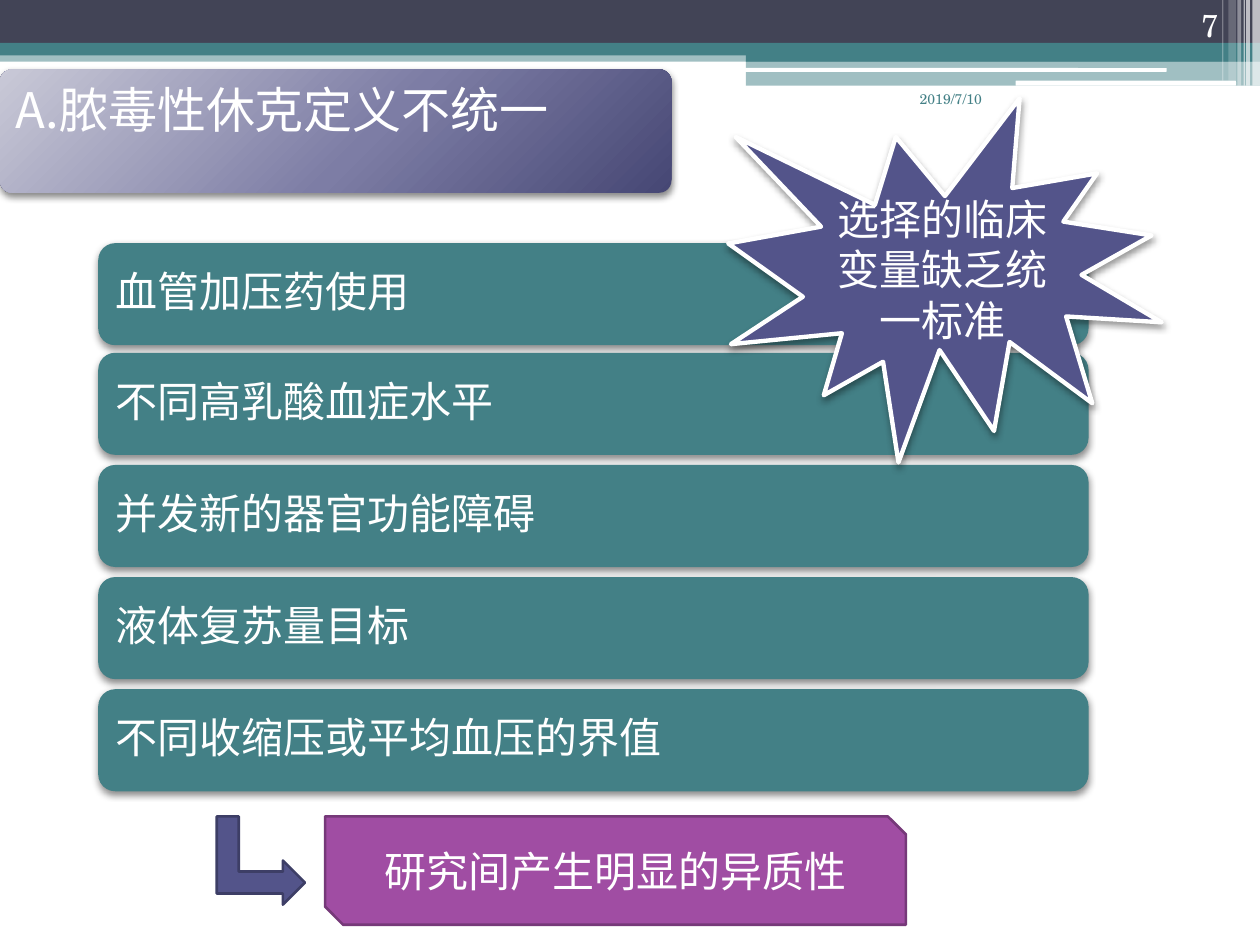
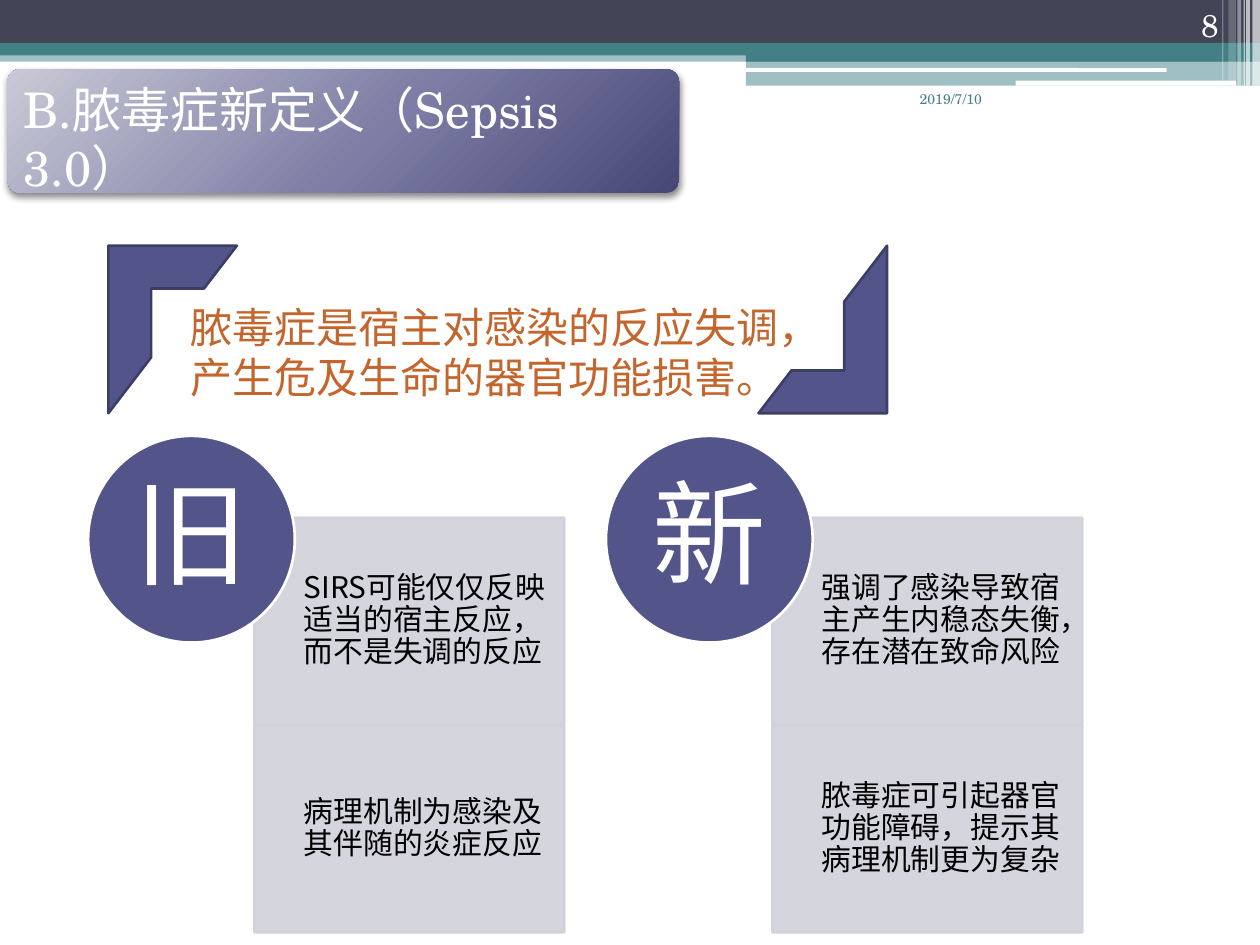
"""Build two slides on septic shock definitions and Sepsis 3.0."""
from lxml import etree
from pptx import Presentation
from pptx.dml.color import RGBColor
from pptx.enum import shapes, text
from pptx.oxml import parse_xml
from pptx.oxml.ns import nsdecls, qn
from pptx.util import Inches, Pt

TEAL = RGBColor(0x43, 0x80, 0x86)
SLATE = RGBColor(0x42, 0x44, 0x56)
INDIGO = RGBColor(0x53, 0x54, 0x8A)
INDIGO_EDGE = RGBColor(0x3D, 0x3E, 0x66)
PURPLE = RGBColor(0xA0, 0x4D, 0xA3)
PURPLE_EDGE = RGBColor(0x76, 0x39, 0x79)
ORANGE = RGBColor(0xC4, 0x65, 0x2D)
PALE = RGBColor(0xD1, 0xD1, 0xDA)
WHITE = RGBColor(0xFF, 0xFF, 0xFF)
BLACK = RGBColor(0, 0, 0)
SANS, SERIF = "Noto Sans CJK SC", "TeX Gyre Schola"
KIND = shapes.MSO_SHAPE
MIDDLE, BOTTOM = text.MSO_ANCHOR.MIDDLE, text.MSO_ANCHOR.BOTTOM
CENTER, RIGHT = text.PP_ALIGN.CENTER, text.PP_ALIGN.RIGHT

DATE = "2019/7/10"
TITLE_STOPS = [(0, "C9C9D7"), (55, "7D7DA5"), (100, "464774")]

BANDS = [
    ((0, 0.4, 10, 0.09), TEAL, 50),
    ((0, 0, 10, 0.34), SLATE, 100),
    ((0, 0.34, 10, 0.1), TEAL, 100),
    ((5.92, 0.39, 4.08, 0.1), TEAL, 100),
    ((5.92, 0.48, 4.08, 0.2), TEAL, 50),
]
WHITE_RULES = [(5.91, 0.54, 3.35, 0.03), (8.06, 0.64, 1.75, 0.04)]
STRIPES = [
    (9.94, 0.06, 0.68, 65), (9.89, 0.03, 0.68, 65), (9.87, 0.01, 0.68, 60),
    (9.82, 0.03, 0.68, 40), (9.75, 0.06, 0.64, 20), (9.7, 0.01, 0.64, 30),
]

VARIABLES = [
    (1.93, "血管加压药使用"),
    (2.8, "不同高乳酸血症水平"),
    (3.69, "并发新的器官功能障碍"),
    (4.58, "液体复苏量目标"),
    (5.47, "不同收缩压或平均血压的界值"),
]
NO_STANDARD = "选择的临床变量缺乏统一标准"
CONSEQUENCE = "研究间产生明显的异质性"

DEFINITION = "脓毒症是宿主对感染的反应失调，产生危及生命的器官功能损害。"
VIEWS = [
    ("旧", ["SIRS可能仅仅反映适当的宿主反应，而不是失调的反应",
           "病理机制为感染及其伴随的炎症反应"]),
    ("新", ["强调了感染导致宿主产生内稳态失衡，存在潜在致命风险",
           "脓毒症可引起器官功能障碍，提示其病理机制更为复杂"]),
]


def set_alpha(fill, percent):
    if percent < 100:
        for color in fill.iter(qn("a:srgbClr")):
            etree.SubElement(color, qn("a:alpha"), val=str(percent * 1000))


def add_shape(s, kind, at, fill, edge=None, width=1.5, alpha=100, adj=None, rotation=0):
    sp = s.shapes.add_shape(kind, *map(Inches, at))
    sp.shadow.inherit = False
    sp.rotation = rotation
    if adj is not None:
        sp.adjustments[0] = adj
    sp.fill.solid()
    sp.fill.fore_color.rgb = fill
    if edge is None:
        sp.line.fill.background()
    else:
        sp.line.color.rgb = edge
        sp.line.width = Pt(width)
    set_alpha(sp._element.spPr, alpha)
    return sp


def add_shadow(sp, alpha=45, blur=4):
    effects = sp._element.spPr.find(qn("a:effectLst"))
    shadow = etree.SubElement(effects, qn("a:outerShdw"), blurRad=str(Pt(blur)),
                              dist=str(Pt(2)), dir="5400000", rotWithShape="0")
    color = etree.SubElement(shadow, qn("a:srgbClr"), val="000000")
    etree.SubElement(color, qn("a:alpha"), val=str(alpha * 1000))


def write(sp, words, size, color, font=SANS, align=text.PP_ALIGN.LEFT,
          anchor=text.MSO_ANCHOR.TOP, insets=(0.1, 0.05, 0.1, 0.05), spacing=None):
    tf = sp.text_frame
    tf.word_wrap = True
    tf.vertical_anchor = anchor
    tf.margin_left, tf.margin_top, tf.margin_right, tf.margin_bottom = map(Inches, insets)
    p = tf.paragraphs[0]
    p.alignment = align
    if spacing:
        p.line_spacing = spacing
    r = p.add_run()
    r.text = words
    r.font.size = Pt(size)
    r.font.name = font
    r.font.color.rgb = color
    etree.SubElement(r._r.get_or_add_rPr(), qn("a:ea"), typeface=SANS)


def add_label(s, at, *args, **kwargs):
    write(s.shapes.add_textbox(*map(Inches, at)), *args, **kwargs)


def add_title(s, left, words, font):
    sp = add_shape(s, KIND.ROUNDED_RECTANGLE, (left, 0.55, 5.33, 0.98), INDIGO, adj=0.1)
    stops = "".join(f'<a:gs pos="{pos * 1000}"><a:srgbClr val="{color}"/></a:gs>'
                    for pos, color in TITLE_STOPS)
    gradient = parse_xml(
        f'<a:gradFill {nsdecls("a")} rotWithShape="1"><a:gsLst>{stops}</a:gsLst>'
        '<a:path path="circle"><a:fillToRect l="-40000" t="-90000" r="140000" b="190000"/>'
        '</a:path></a:gradFill>')
    spPr = sp._element.spPr
    spPr.replace(spPr.find(qn("a:solidFill")), gradient)
    add_shadow(sp)
    write(sp, words, 28, WHITE, font)


def add_base(prs, number, title_left, title, title_font):
    s = prs.slides.add_slide(prs.slide_layouts[6])
    for at, color, alpha in BANDS:
        add_shape(s, KIND.RECTANGLE, at, color, alpha=alpha)
    for at in WHITE_RULES:
        add_shape(s, KIND.ROUNDED_RECTANGLE, at, WHITE)
    for left, width, height, alpha in STRIPES:
        add_shape(s, KIND.RECTANGLE, (left, 0, width, height), WHITE, alpha=alpha)
    add_label(s, (7.2, 0.67, 1.05, 0.5), DATE, 8, TEAL, SERIF)
    add_label(s, (8.94, 0, 0.83, 0.4), number, 18, WHITE, SERIF, RIGHT, BOTTOM)
    add_title(s, title_left, title, title_font)
    return s


def build_shock_slide(prs):
    s = add_base(prs, "7", 0, "A.脓毒性休克定义不统一", SANS)
    for top, words in VARIABLES:
        bar = add_shape(s, KIND.ROUNDED_RECTANGLE, (0.78, top, 7.86, 0.81), TEAL)
        add_shadow(bar)
        write(bar, words, 24, WHITE, anchor=MIDDLE, insets=(0.1,) * 4, spacing=0.9)
    burst = add_shape(s, KIND.EXPLOSION1, (5.78, 0.78, 3.44, 2.89), INDIGO, WHITE, 2.5)
    add_shadow(burst, 40, 4.1)
    write(burst, NO_STANDARD, 24, WHITE, SERIF, CENTER, MIDDLE)
    add_shape(s, KIND.BENT_UP_ARROW, (1.72, 6.48, 0.7, 0.7), INDIGO, INDIGO_EDGE, rotation=90)
    result = add_shape(s, KIND.SNIP_2_DIAG_RECTANGLE, (2.58, 6.48, 4.61, 0.86),
                       PURPLE, PURPLE_EDGE)
    write(result, CONSEQUENCE, 24, WHITE, SERIF, CENTER, MIDDLE)


def build_sepsis_slide(prs):
    s = add_base(prs, "8", 0.06, "B.脓毒症新定义（Sepsis 3.0）", SERIF)
    for left, rotation in ((0.86, 0), (6.02, 180)):
        add_shape(s, KIND.HALF_FRAME, (left, 1.95, 1.02, 1.33), INDIGO, INDIGO_EDGE,
                  rotation=rotation)
    add_label(s, (1.41, 2.34, 5.39, 0.91), DEFINITION, 24, ORANGE)
    for column, (name, points) in enumerate(VIEWS):
        left = 0.7 + 4.11 * column
        for row, words in enumerate(points):
            cell = add_shape(s, KIND.RECTANGLE, (left + 1.32, 4.11 + 1.65 * row, 2.46, 1.64),
                             PALE, PALE, alpha=90)
            write(cell, words, 17, BLACK, anchor=MIDDLE,
                  insets=(0.39, 0.13, 0.13, 0.13), spacing=0.9)
        disc = add_shape(s, KIND.OVAL, (left, 3.46, 1.64, 1.64), INDIGO, WHITE)
        write(disc, name, 65, WHITE, SERIF, CENTER, MIDDLE, (0,) * 4, 0.9)


def main():
    prs = Presentation()
    prs.slide_width, prs.slide_height = Inches(10), Inches(7.5)
    build_shock_slide(prs)
    build_sepsis_slide(prs)
    prs.save("out.pptx")


if __name__ == "__main__":
    main()
